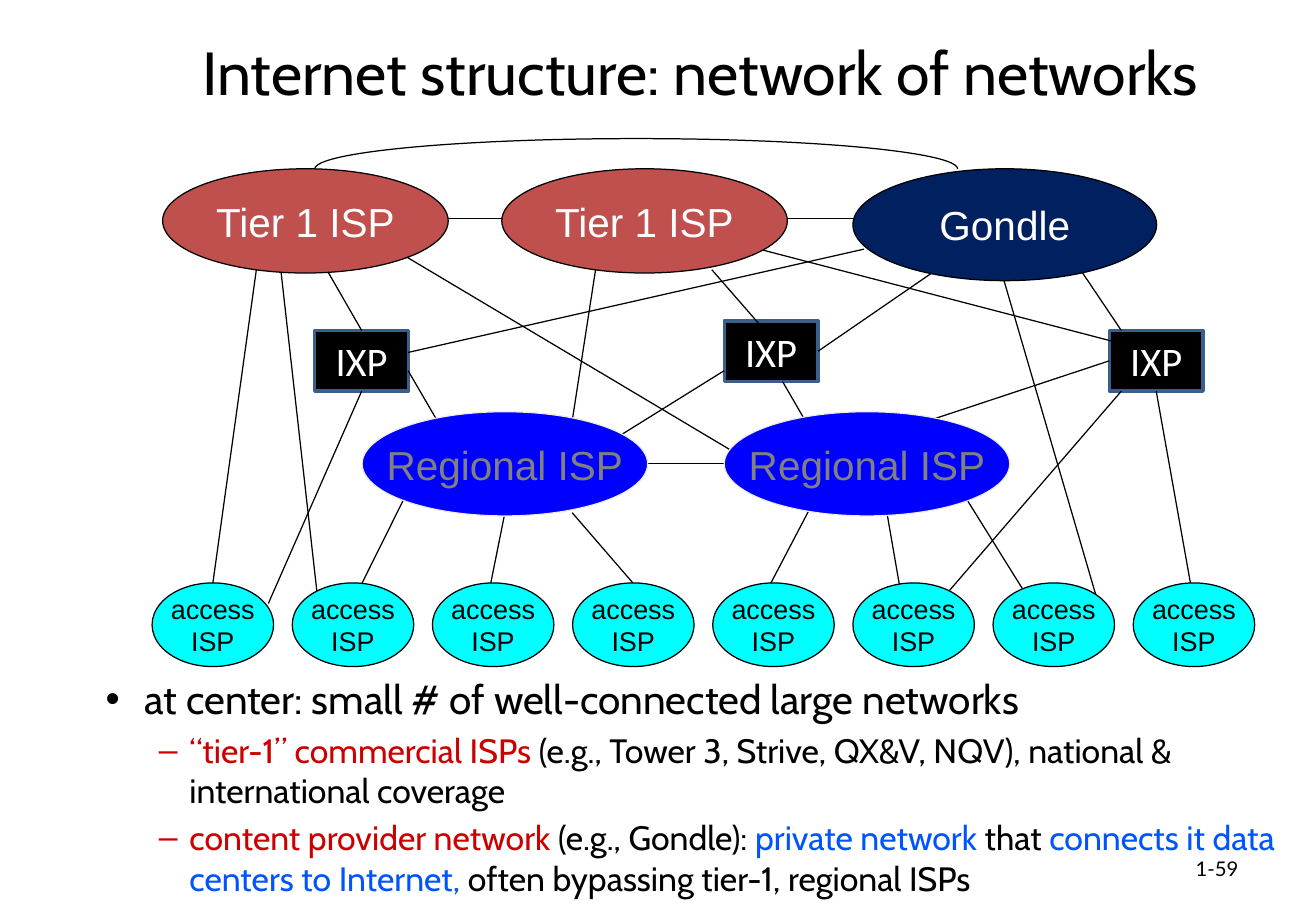
from dataclasses import dataclass

from lxml import etree
from pptx import Presentation
from pptx.dml.color import RGBColor
from pptx.enum import shapes, text
from pptx.oxml import ns
from pptx.util import Cm, Pt

BLACK = RGBColor(0x00, 0x00, 0x00)
WHITE = RGBColor(0xFF, 0xFF, 0xFF)
BRICK = RGBColor(0xC0, 0x50, 0x4D)
NAVY = RGBColor(0x00, 0x20, 0x60)
BLUE = RGBColor(0x00, 0x00, 0xFF)
CYAN = RGBColor(0x00, 0xFF, 0xFF)
GRAY = RGBColor(0x80, 0x80, 0x80)
CREAM = RGBColor(0xEE, 0xEC, 0xE1)
STEEL = RGBColor(0x3A, 0x5F, 0x8C)
RED = RGBColor(0xCC, 0x00, 0x00)
AZURE = RGBColor(0x00, 0x54, 0xFD)

TOP, LEFT, BOTTOM, RIGHT = range(4)
ISP_SIZE = (5.97, 2.18)
IXP_SIZE = (1.96, 1.27)
ACCESS_SIZE = (2.54, 1.75)
ACCESS_COUNT, ACCESS_PITCH = 8, 2.93

EXCHANGES = [(3.58, 4.41), (12.14, 4.21), (20.19, 4.41)]
EXCHANGE_LINKS = [
    (0, BOTTOM, (2.61, 10.12)),
    (0, TOP, (3.83, 3.14)),
    (1, RIGHT, (16.58, 3.14)),
    (2, BOTTOM, (21.89, 9.72)),
    (2, LEFT, (16.28, 6.34)),
]
LINKS = [
    ((2.36, 3.14), (1.45, 9.69)),
    ((2.87, 3.14), (3.63, 9.92)),
    ((5.43, 7.96), (4.57, 9.69)),
    ((7.54, 8.3), (7.26, 9.69)),
    ((8.96, 8.22), (10.23, 9.69)),
    ((13.99, 8.02), (13.1, 9.72)),
    ((15.54, 8.22), (15.8, 9.72)),
    ((17.22, 7.96), (18.46, 9.95)),
    ((17.98, 3.34), (19.91, 9.95)),
    ((7.87, 2.07), (6.27, 2.07)),
    ((14.96, 2.07), (13.36, 2.07)),
    ((12.14, 7.2), (10.54, 7.2)),
    ((19.45, 2.94), (20.44, 4.41)),
    ((5.53, 5.25), (6.27, 6.52)),
    ((15.06, 2.71), (5.53, 4.87)),
    ((11.88, 3.14), (13.1, 4.54)),
    ((9.45, 3.14), (8.96, 6.31)),
    ((13.36, 5.48), (13.84, 6.31)),
    ((12.14, 5.25), (9.7, 6.77)),
    ((5.51, 2.88), (12.37, 6.97)),
    ((20.44, 5.68), (16.76, 9.95)),
    ((12.95, 2.73), (20.27, 4.64)),
]
POINTS = [
    (24, 0.97, 0.81, "•",
     [("at center: small # of well-connected large networks", BLACK)]),
    (20, 1.91, 0.64, "–",
     [("“tier-1” commercial ISPs ", RED),
      ("(e.g., Tower 3, Strive, QX&V, NQV), national & international coverage", BLACK)]),
    (20, 1.91, 0.64, "–",
     [("content provider network ", RED),
      ("(e.g., Gondle): ", BLACK),
      ("private network ", AZURE),
      ("that ", BLACK),
      ("connects it data centers to Internet,", AZURE),
      (" often bypassing tier-1, regional ISPs", BLACK)]),
]


@dataclass
class Box:
    left: float
    top: float
    width: float
    height: float

    def lengths(self):
        return Cm(self.left), Cm(self.top), Cm(self.width), Cm(self.height)

    def inner(self, spot, size):
        return Box(self.left + spot[0], self.top + spot[1], *size)

    def point(self, spot):
        return Cm(self.left + spot[0]), Cm(self.top + spot[1])


def style(paragraph, size, name, color=None):
    paragraph.font.size = Pt(size)
    paragraph.font.name = name
    if color is not None:
        paragraph.font.color.rgb = color


def add_node(slide, box, kind, lines, fill, edge, size, name, color, weight=0.75):
    node = slide.shapes.add_shape(kind, *box.lengths())
    node.shadow.inherit = False
    node.fill.solid()
    node.fill.fore_color.rgb = fill
    node.line.color.rgb = edge
    node.line.width = Pt(weight)
    frame = node.text_frame
    frame.word_wrap = kind == shapes.MSO_SHAPE.RECTANGLE
    frame.vertical_anchor = text.MSO_ANCHOR.MIDDLE
    frame.text = lines
    for paragraph in frame.paragraphs:
        paragraph.alignment = text.PP_ALIGN.CENTER
        style(paragraph, size, name, color)
    return node


def add_link(slide, box, start, end):
    link = slide.shapes.add_connector(
        shapes.MSO_CONNECTOR.STRAIGHT, *box.point(start), *box.point(end))
    link.line.color.rgb = BLACK
    link.line.width = Pt(0.75)
    etree.SubElement(link._element.spPr, ns.qn("a:effectLst"))
    return link


def add_title(slide, box):
    title = slide.shapes.title
    title.left, title.top, title.width, title.height = box.lengths()
    frame = title.text_frame
    frame.text = "Internet structure: network of networks"
    frame.auto_size = text.MSO_AUTO_SIZE.NONE
    frame.vertical_anchor = text.MSO_ANCHOR.MIDDLE
    frame.paragraphs[0].alignment = text.PP_ALIGN.CENTER
    style(frame.paragraphs[0], 36, "Cabin", BLACK)


def add_network(slide, box):
    oval = shapes.MSO_SHAPE.OVAL
    exchanges = [
        add_node(slide, box.inner(spot, IXP_SIZE), shapes.MSO_SHAPE.RECTANGLE,
                 "IXP", BLACK, STEEL, 24, "Calibri", WHITE, 2)
        for spot in EXCHANGES]
    for start, end in LINKS:
        add_link(slide, box, start, end)
    for index, side, end in EXCHANGE_LINKS:
        link = add_link(slide, box, EXCHANGES[index], end)
        link.begin_connect(exchanges[index], side)

    bypass = slide.shapes.add_shape(
        shapes.MSO_SHAPE.ARC, *box.inner((3.58, 0.4), (13.44, 1.27)).lengths())
    bypass.adjustments[0] = 106.82
    bypass.adjustments[1] = 0
    bypass.shadow.inherit = False
    bypass.fill.background()
    bypass.line.color.rgb = BLACK
    bypass.line.width = Pt(0.75)

    for label, spot, size, fill, edge, color in [
        ("Tier 1 ISP", (0.4, 1.03), ISP_SIZE, BRICK, BLACK, WHITE),
        ("Tier 1 ISP", (7.49, 1.03), ISP_SIZE, BRICK, BLACK, WHITE),
        ("Gondle", (14.83, 1.03), (6.35, 2.34), NAVY, BLACK, WHITE),
        ("Regional ISP", (4.57, 6.11), ISP_SIZE, BLUE, CREAM, GRAY),
        ("Regional ISP", (12.14, 6.11), ISP_SIZE, BLUE, CREAM, GRAY),
    ]:
        add_node(slide, box.inner(spot, size), oval, label, fill, edge, 24, "Arial", color)
    for index in range(ACCESS_COUNT):
        spot = (0.18 + index * ACCESS_PITCH, 9.69)
        add_node(slide, box.inner(spot, ACCESS_SIZE), oval, "access\nISP",
                 CYAN, BLACK, 16, "Arial", BLACK)


def add_points(slide, box):
    frame = slide.shapes.add_textbox(*box.lengths()).text_frame
    frame.word_wrap = True
    for index, (size, margin, hang, bullet, runs) in enumerate(POINTS):
        paragraph = frame.add_paragraph() if index else frame.paragraphs[0]
        props = paragraph._p.get_or_add_pPr()
        props.set("marL", str(Cm(margin)))
        props.set("indent", str(-Cm(hang)))
        tint = etree.SubElement(props, ns.qn("a:buClr"))
        etree.SubElement(tint, ns.qn("a:srgbClr"), val=str(runs[0][1]))
        etree.SubElement(props, ns.qn("a:buFont"), typeface="Arial")
        etree.SubElement(props, ns.qn("a:buChar"), char=bullet)
        if index:
            paragraph.level = 1
            paragraph.space_before = Pt(size * 0.2)
        style(paragraph, size, "Cabin")
        for words, color in runs:
            run = paragraph.add_run()
            run.text = words
            run.font.color.rgb = color


def add_page_number(slide, box):
    frame = slide.shapes.add_textbox(*box.lengths()).text_frame
    frame.word_wrap = True
    frame.vertical_anchor = text.MSO_ANCHOR.MIDDLE
    frame.text = "1-59"
    frame.paragraphs[0].alignment = text.PP_ALIGN.RIGHT
    style(frame.paragraphs[0], 12, "Lato", BLACK)


def main():
    deck = Presentation()
    deck.slide_width, deck.slide_height = Cm(27.51), Cm(19.05)
    slide = deck.slides.add_slide(deck.slide_layouts.get_by_name("Title Only"))
    add_title(slide, Box(2.46, 0.58, 24.36, 1.8))
    add_points(slide, Box(1.8, 13.97, 25.4, 5.08))
    add_page_number(slide, Box(19.71, 17.65, 6.43, 1.02))
    add_network(slide, Box(3, 2.5, 23.5, 11.5))
    deck.save("out.pptx")


if __name__ == "__main__":
    main()
